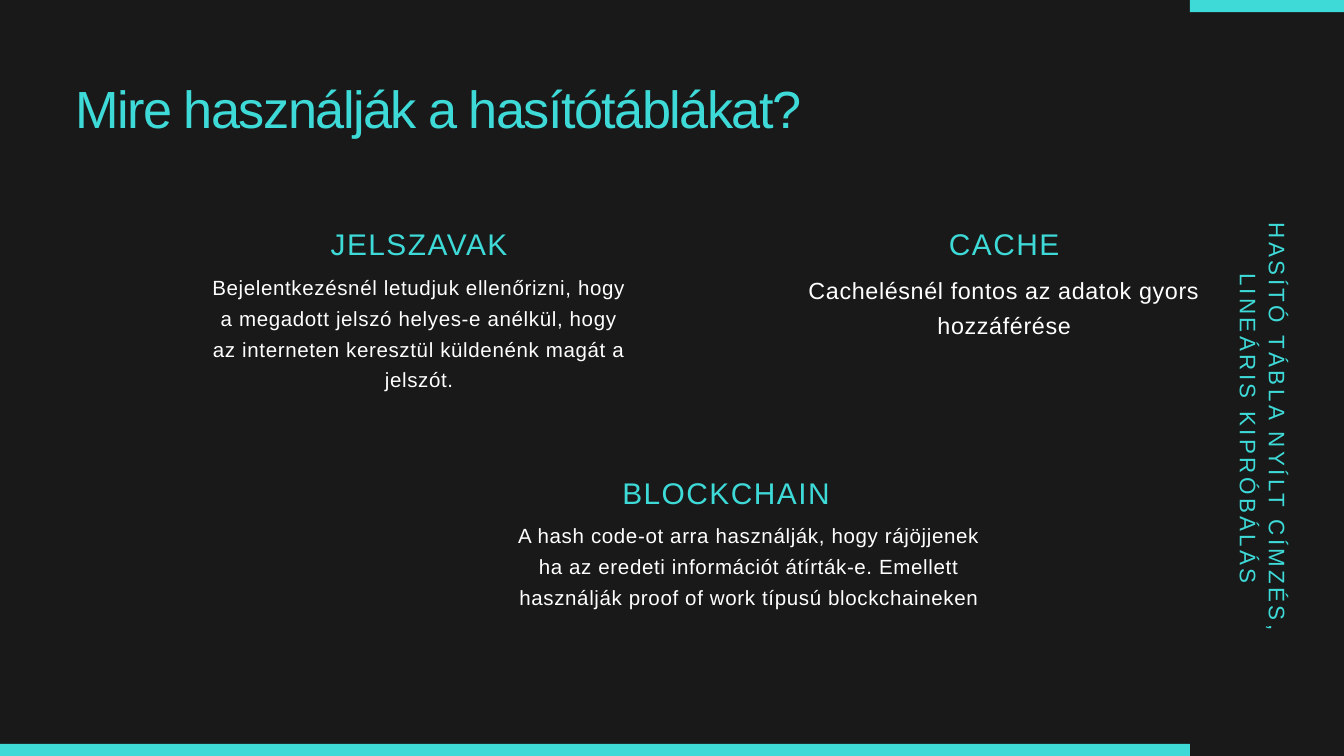
from dataclasses import dataclass

from pptx import Presentation
from pptx.dml.color import RGBColor
from pptx.enum.shapes import MSO_SHAPE
from pptx.enum.text import MSO_ANCHOR, MSO_AUTO_SIZE, PP_ALIGN
from pptx.util import Pt

RECT = MSO_SHAPE.RECTANGLE
TOP = MSO_ANCHOR.TOP
FIXED = MSO_AUTO_SIZE.NONE
LEFT, CENTER = PP_ALIGN.LEFT, PP_ALIGN.CENTER


@dataclass(frozen=True)
class Theme:
    back: str = "191919"
    accent: str = "3EDAD8"
    text: str = "FFFFFF"
    font: str = "Arial"
    title: int = 56
    head: int = 32
    large: int = 25
    body: int = 22
    side: int = 24


THEME = Theme()
WIDE, HIGH = 1440, 810
SPLIT, BAR = 1275, 13
GAP = 49  # from the top of a heading to the top of its body


def place(shape, box):
    shape.left, shape.top, shape.width, shape.height = map(Pt, box)


def write(shape, text, size, color, lead, track, align=CENTER):
    """Fill a shape with one paragraph; lead and track are in points."""
    frame = shape.text_frame
    frame.word_wrap = True
    frame.auto_size = FIXED
    frame.vertical_anchor = TOP
    frame.margin_left = frame.margin_right = 0
    frame.margin_top = frame.margin_bottom = 0
    para = frame.paragraphs[0]
    para.alignment = align
    para.line_spacing = Pt(lead)
    run = para.add_run()
    run.text = text
    run.font.name = THEME.font
    run.font.size = Pt(size)
    run.font.color.rgb = RGBColor.from_string(color)
    run.font._element.set("spc", str(round(track * 100)))


def add_text(slide, box, text, **style):
    shape = slide.shapes.add_textbox(*map(Pt, box))
    write(shape, text, **style)
    return shape


def add_bar(slide, box):
    bar = slide.shapes.add_shape(RECT, *map(Pt, box))
    bar.shadow.inherit = False
    bar.fill.solid()
    bar.fill.fore_color.rgb = RGBColor.from_string(THEME.accent)
    bar.line.fill.background()


def add_title(slide, box, text):
    title = slide.shapes.title
    place(title, box)
    write(title, text, size=THEME.title, color=THEME.accent,
          lead=69.4, track=-1.7, align=LEFT)


def add_topic(slide, box, head, body, size, span):
    """Put a heading over its body text; span is the width of the body."""
    left, top, width, height = box
    add_text(slide, (left, top, width, 40), head, size=THEME.head,
             color=THEME.accent, lead=41.6, track=1.6)
    add_text(slide, (left, top + GAP, span, height - GAP), body, size=size,
             color=THEME.text, lead=size * 1.5, track=0.7)


def add_side(slide, box, text):
    """Write text that reads downwards within an upright box."""
    left, top, width, height = box
    shift = (height - width) / 2
    side = add_text(slide, (left - shift, top + shift, height, width), text,
                    size=THEME.side, color=THEME.accent, lead=31.2, track=3.6)
    side.rotation = 90


def main():
    deck = Presentation()
    deck.slide_width, deck.slide_height = Pt(WIDE), Pt(HIGH)
    slide = deck.slides.add_slide(deck.slide_layouts[5])
    fill = slide.background.fill
    fill.solid()
    fill.fore_color.rgb = RGBColor.from_string(THEME.back)

    add_bar(slide, (0, HIGH - BAR, SPLIT, BAR))
    add_bar(slide, (SPLIT, 0, WIDE - SPLIT, BAR))
    add_title(slide, (81, 79, 1125, 69), "Mire használják a hasítótáblákat?")

    topics = [
        ((224, 239, 450, 176), "JELSZAVAK",
         "Bejelentkezésnél letudjuk ellenőrizni, hogy a megadott jelszó "
         "helyes-e anélkül, hogy az interneten keresztül küldenénk magát a "
         "jelszót.", THEME.body, 450),
        ((851, 239, 450, 120), "CACHE",
         "Cachelésnél fontos az adatok gyors hozzáférése", THEME.large, 450),
        ((553, 505, 450, 143), "BLOCKCHAIN",
         "A hash code-ot arra használják, hogy rájöjjenek ha az eredeti "
         "információt átírták-e. Emellett használják proof of work típusú "
         "blockchaineken", THEME.body, 499),
    ]
    for topic in topics:
        add_topic(slide, *topic)

    add_side(slide, (1325, 189, 61, 540),
             "HASÍTÓ TÁBLA NYÍLT CÍMZÉS, LINEÁRIS KIPRÓBÁLÁS")
    deck.save("out.pptx")


if __name__ == "__main__":
    main()
